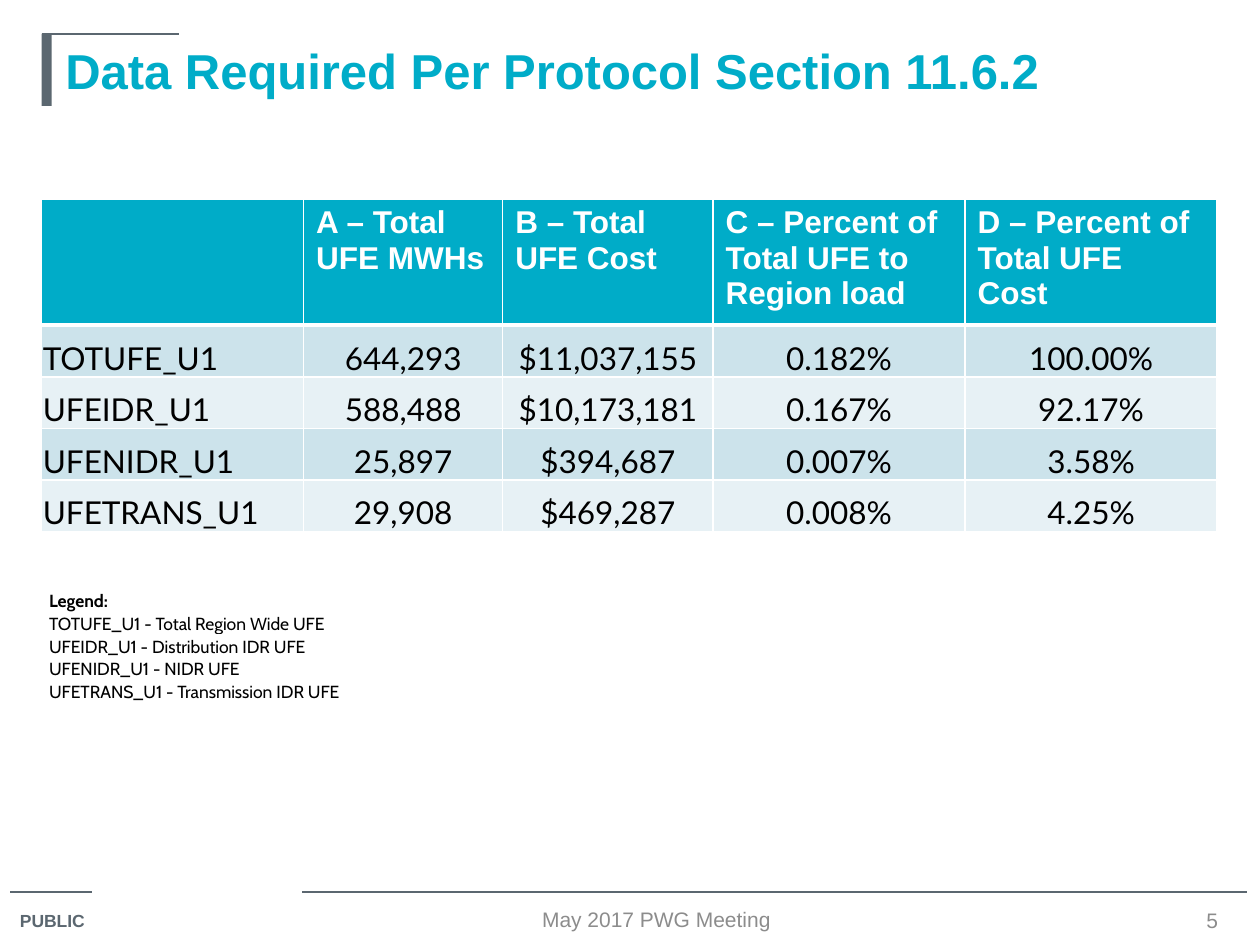
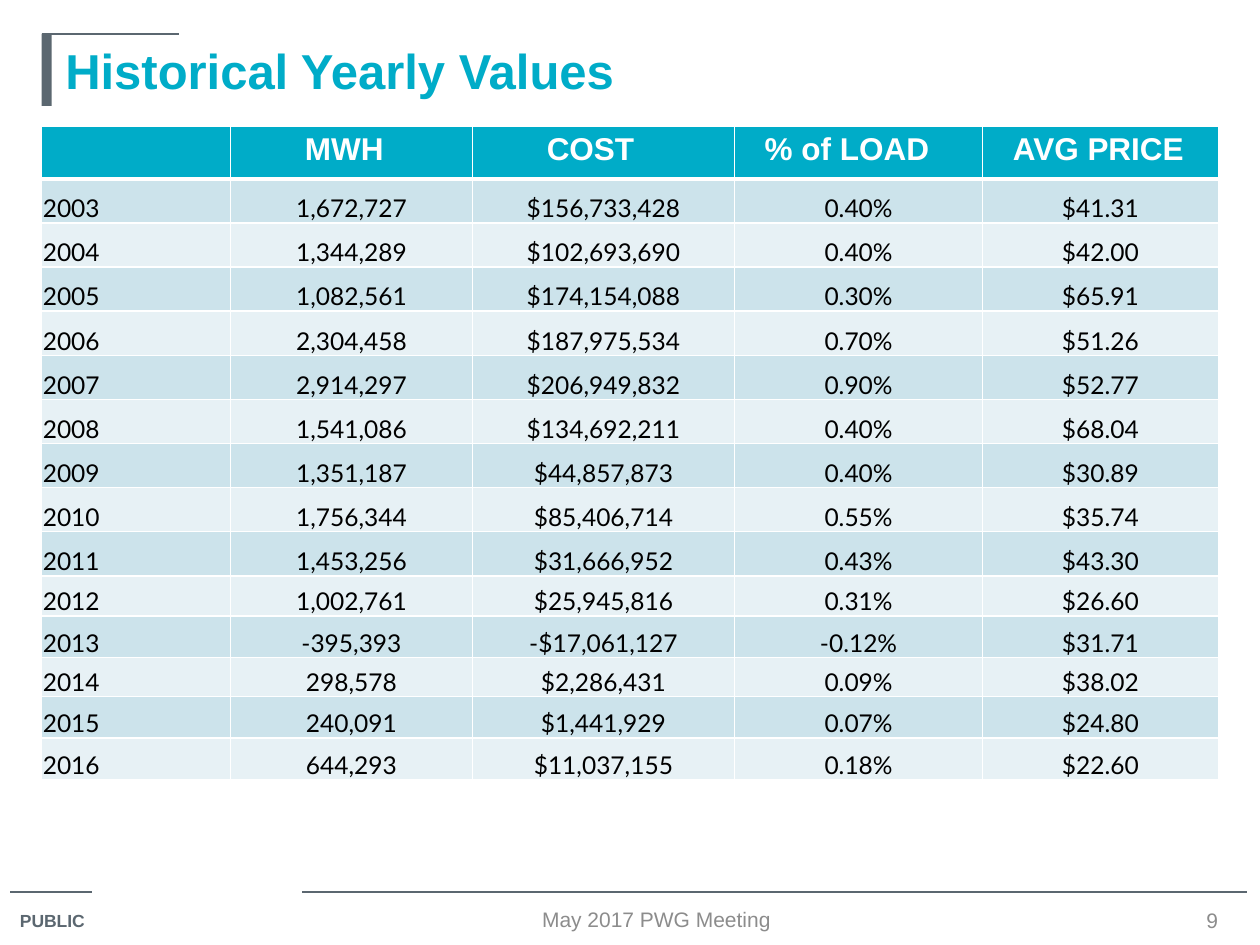
from dataclasses import dataclass

from lxml.etree import SubElement
from pptx import Presentation
from pptx.dml.color import RGBColor
from pptx.enum.shapes import MSO_CONNECTOR as Connector, MSO_SHAPE as Shape
from pptx.enum.text import MSO_ANCHOR as Anchor, PP_ALIGN as Align
from pptx.oxml.ns import qn
from pptx.util import Inches, Pt

TEAL, SLATE, GRAY = "00ACC8", "5B6770", "8C8C8C"
WHITE, BLACK = "FFFFFF", "000000"
BANDS = ("CCE3EB", "E7F1F5")
HEADING_FONT, BODY_FONT, LEGEND_FONT = "Arial", "Lato", "Cabin"
EDGE = 0.33


@dataclass(frozen=True)
class Rule:
    left: float
    right: float
    top: float


@dataclass(frozen=True)
class Column:
    heading: str
    width: float
    indent: float = 0.1


@dataclass(frozen=True)
class DataTable:
    top: float
    size: int
    columns: list[Column]
    row_heights: list[float]
    records: list[tuple[str, ...]]


RULES = (Rule(0.08, 0.73, 7.08), Rule(2.4, 9.9, 7.08), Rule(EDGE, 1.42, 0.27))

SECTION_DATA = DataTable(
    top=1.58,
    size=18,
    columns=[
        Column("", 2.08),
        Column("A – Total\nUFE MWHs", 1.58),
        Column("B – Total\nUFE Cost", 1.67),
        Column("C – Percent of\nTotal UFE to\nRegion load", 2),
        Column("D – Percent of\nTotal UFE\nCost", 2),
    ],
    row_heights=[1] + [0.41] * 4,
    records=[
        ("TOTUFE_U1", "644,293", "$11,037,155", "0.182%", "100.00%"),
        ("UFEIDR_U1", "588,488", "$10,173,181", "0.167%", "92.17%"),
        ("UFENIDR_U1", "25,897", "$394,687", "0.007%", "3.58%"),
        ("UFETRANS_U1", "29,908", "$469,287", "0.008%", "4.25%"),
    ],
)

YEARLY_VALUES = DataTable(
    top=1,
    size=14,
    columns=[
        Column("", 1.5),
        Column("MWH", 1.92, 0.59),
        Column("COST", 2.08, 0.59),
        Column("% of LOAD", 1.97, 0.24),
        Column("AVG PRICE", 1.87, 0.24),
    ],
    row_heights=[0.42] + [0.35] * 9 + [0.32, 0.33, 0.31, 0.33, 0.33],
    records=[
        ("2003", "1,672,727", "$156,733,428", "0.40%", "$41.31"),
        ("2004", "1,344,289", "$102,693,690", "0.40%", "$42.00"),
        ("2005", "1,082,561", "$174,154,088", "0.30%", "$65.91"),
        ("2006", "2,304,458", "$187,975,534", "0.70%", "$51.26"),
        ("2007", "2,914,297", "$206,949,832", "0.90%", "$52.77"),
        ("2008", "1,541,086", "$134,692,211", "0.40%", "$68.04"),
        ("2009", "1,351,187", "$44,857,873", "0.40%", "$30.89"),
        ("2010", "1,756,344", "$85,406,714", "0.55%", "$35.74"),
        ("2011", "1,453,256", "$31,666,952", "0.43%", "$43.30"),
        ("2012", "1,002,761", "$25,945,816", "0.31%", "$26.60"),
        ("2013", "-395,393", "-$17,061,127", "-0.12%", "$31.71"),
        ("2014", "298,578", "$2,286,431", "0.09%", "$38.02"),
        ("2015", "240,091", "$1,441,929", "0.07%", "$24.80"),
        ("2016", "644,293", "$11,037,155", "0.18%", "$22.60"),
    ],
)

LEGEND = [
    "Legend:",
    "TOTUFE_U1 - Total Region Wide UFE",
    "UFEIDR_U1 - Distribution IDR UFE",
    "UFENIDR_U1 - NIDR UFE",
    "UFETRANS_U1 - Transmission IDR UFE",
]


def color(value: str) -> RGBColor:
    return RGBColor.from_string(value)


def write(frame, text: str, *, size: int, ink: str, font: str = HEADING_FONT,
          bold: bool = False, align=Align.LEFT) -> None:
    for index, line in enumerate(text.split("\n")):
        para = frame.add_paragraph() if index else frame.paragraphs[0]
        para.alignment = align
        if not line:
            SubElement(para._p, qn("a:endParaRPr"), sz=str(size * 100))
            continue
        span = para.add_run()
        span.text = line
        span.font.size = Pt(size)
        span.font.name = font
        span.font.bold = bold
        span.font.color.rgb = color(ink)


def add_text(page, text: str, left: float, top: float, width: float, height: float,
             *, anchor=Anchor.MIDDLE, wrap: bool = True, **style) -> None:
    box = page.shapes.add_textbox(Inches(left), Inches(top), Inches(width), Inches(height))
    box.text_frame.word_wrap = wrap
    box.text_frame.vertical_anchor = anchor
    write(box.text_frame, text, **style)


def add_rule(page, rule: Rule) -> None:
    line = page.shapes.add_connector(
        Connector.STRAIGHT, Inches(rule.left), Inches(rule.top),
        Inches(rule.right), Inches(rule.top))
    line.line.color.rgb = color(SLATE)
    line.line.width = Pt(0.75)
    SubElement(line._element.spPr, qn("a:effectLst"))


def add_page(deck, title: str, number: int):
    page = deck.slides.add_slide(deck.slide_layouts[6])
    for rule in RULES:
        add_rule(page, rule)
    bar = page.shapes.add_shape(
        Shape.RECTANGLE, Inches(EDGE), Inches(0.27), Inches(0.08), Inches(0.57))
    bar.shadow.inherit = False
    bar.fill.solid()
    bar.fill.fore_color.rgb = color(SLATE)
    bar.line.fill.background()
    add_text(page, "PUBLIC", 0.06, 7.17, 0.77, 0.28, anchor=Anchor.TOP, wrap=False,
             size=10, ink=SLATE, bold=True)
    add_text(page, title, 0.42, 0.27, 9.25, 0.57, size=28, ink=TEAL, bold=True)
    footer = dict(size=12, ink=GRAY, align=Align.CENTER)
    add_text(page, "May 2017 PWG Meeting", 3, 7.17, 4.42, 0.25, **footer)
    add_text(page, str(number), 9.33, 7.18, 0.58, 0.24, **footer)
    return page


def add_grid(page, left: float, top: float, widths: list[float], heights: list[float]):
    frame = page.shapes.add_table(
        len(heights), len(widths), Inches(left), Inches(top),
        Inches(sum(widths)), Inches(sum(heights)))
    table = frame.table
    table.horz_banding = False
    for column, width in zip(table.columns, widths):
        column.width = Inches(width)
    for row, height in zip(table.rows, heights):
        row.height = Inches(height)
    return table


def set_borders(cell, **points: float) -> None:
    properties = cell._tc.get_or_add_tcPr()
    for index, side in enumerate(("left", "right", "top", "bottom")):
        border = properties.makeelement(
            qn(f"a:ln{side[0].upper()}"), {"w": str(Pt(points.get(side, 1)))})
        fill = SubElement(border, qn("a:solidFill"))
        SubElement(fill, qn("a:srgbClr"), val=WHITE)
        properties.insert(index, border)


def fill_cell(cell, value: str) -> None:
    cell.fill.solid()
    cell.fill.fore_color.rgb = color(value)


def set_tight(cell) -> None:
    cell.vertical_anchor = Anchor.BOTTOM
    cell.margin_left = cell.margin_right = cell.margin_top = Inches(0.01)
    cell.margin_bottom = 0


def add_data_table(page, data: DataTable) -> None:
    table = add_grid(page, EDGE, data.top, [column.width for column in data.columns],
                     data.row_heights)
    for index, column in enumerate(data.columns):
        cell = table.cell(0, index)
        fill_cell(cell, TEAL)
        set_borders(cell, bottom=3)
        cell.margin_left = Inches(column.indent)
        write(cell.text_frame, column.heading, size=18, ink=WHITE, bold=True)
    for row, record in enumerate(data.records, start=1):
        for index, value in enumerate(record):
            cell = table.cell(row, index)
            fill_cell(cell, BANDS[(row - 1) % 2])
            set_borders(cell, top=3 if row == 1 else 1)
            set_tight(cell)
            write(cell.text_frame, value, size=data.size, ink=BLACK, font=BODY_FONT,
                  align=Align.CENTER if index else Align.LEFT)


def add_legend(page) -> None:
    table = add_grid(page, 0.38, 4.68, [1.61, 1.95], [0.18] * len(LEGEND))
    table.first_row = False
    for row, entry in enumerate(LEGEND):
        for index, text in enumerate((entry, "")):
            cell = table.cell(row, index)
            cell.fill.background()
            set_tight(cell)
            write(cell.text_frame, text, size=10, ink=BLACK, font=LEGEND_FONT, bold=row == 0)
        if row:
            table.cell(row, 0).merge(table.cell(row, 1))


def main() -> None:
    deck = Presentation()
    deck.slide_width, deck.slide_height = Inches(10), Inches(7.5)
    page = add_page(deck, "Data Required Per Protocol Section 11.6.2", 5)
    add_data_table(page, SECTION_DATA)
    add_legend(page)
    page = add_page(deck, "Historical Yearly Values", 9)
    add_data_table(page, YEARLY_VALUES)
    deck.save("out.pptx")


if __name__ == "__main__":
    main()
